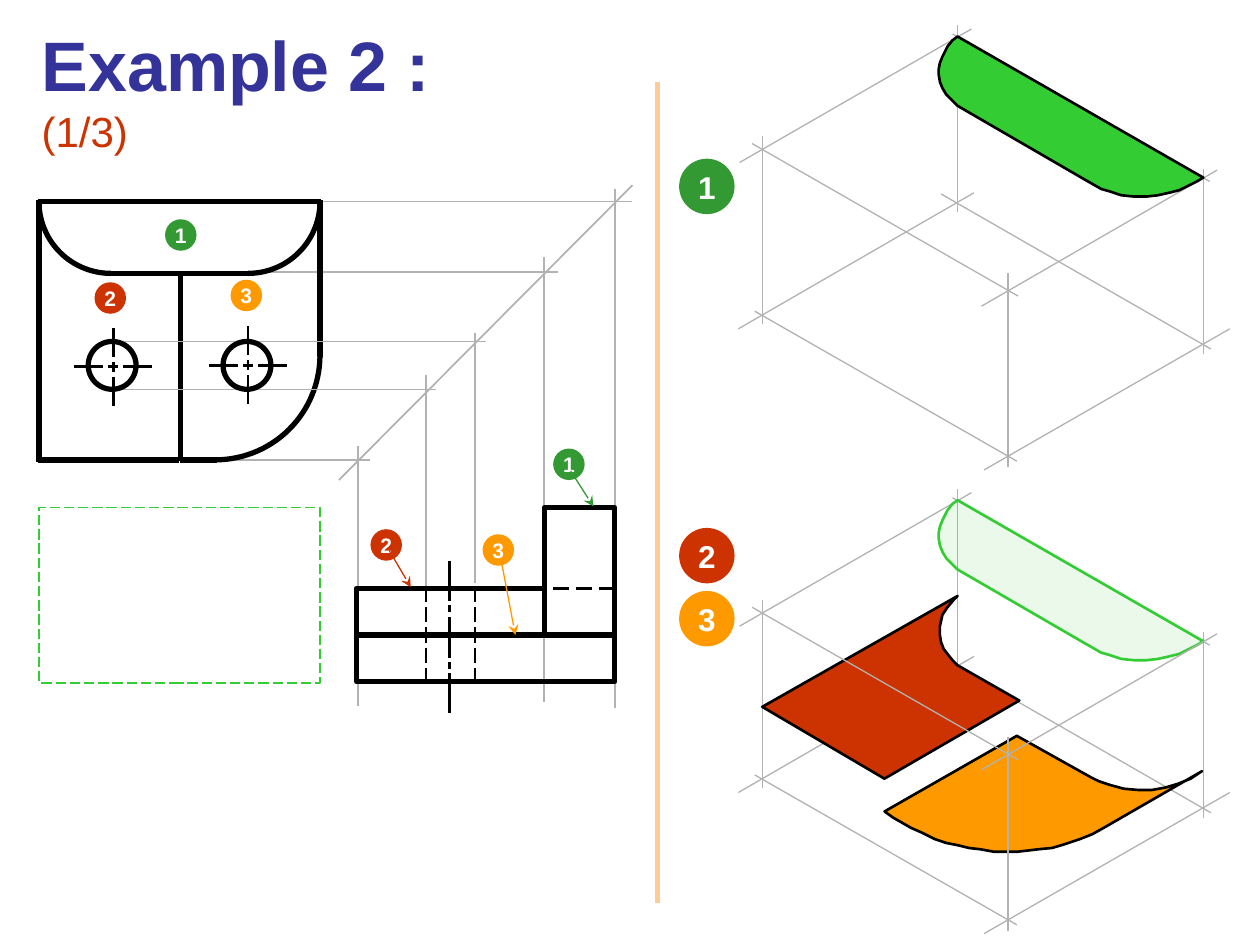
from math import cos, radians, sin

from lxml.etree import SubElement
from pptx import Presentation
from pptx.dml.color import RGBColor
from pptx.enum.dml import MSO_LINE
from pptx.enum.shapes import MSO_CONNECTOR, MSO_SHAPE
from pptx.enum.text import MSO_ANCHOR, PP_ALIGN
from pptx.oxml.ns import qn
from pptx.util import Inches, Pt

BLACK, GREY, WHITE = "000000", "B2B2B2", "FFFFFF"
GREEN, RED, ORANGE, LIME = "339933", "CC3300", "FF9900", "33CC33"
FACE_COLORS = {"1": GREEN, "2": RED, "3": ORANGE}

TITLE = [("Example 2 : ", 40, "333399", True), ("(1/3)", 24, RED, False)]

PROJECTION_LINES = [
    (2.69, 3.81, 5.02, 1.47), (1.81, 3.65, 2.94, 3.65), (2.53, 1.6, 5.02, 1.6),
    (2.84, 3.54, 2.84, 5.6), (4.88, 1.5, 4.88, 5.62), (2.05, 2.16, 4.43, 2.16),
    (4.32, 2.04, 4.32, 5.57),
]
HOLE_PROJECTIONS = [
    (0.89, 2.71, 3.86, 2.71), (0.85, 3.09, 3.46, 3.09),
    (3.38, 4.65, 3.38, 2.98), (3.77, 4.63, 3.77, 2.64),
]
TOP_VIEW_ARCS = [(1.97, 1.6, 0.57, 0), (0.88, 1.6, 0.57, 90), (1.71, 2.82, 0.83, 0)]
TOP_VIEW_LINES = [
    (0.87, 2.17, 1.97, 2.17), (0.3, 1.6, 2.55, 1.6), (2.54, 1.59, 2.54, 2.83),
    (1.72, 3.65, 1.43, 3.65), (0.31, 1.59, 0.31, 3.67), (1.43, 2.17, 1.43, 3.66),
    (1.42, 3.65, 0.3, 3.65),
]
SIDE_VIEW_BOXES = [(2.83, 5.04, 2.05, 0.37), (2.83, 4.67, 1.49, 0.37), (4.32, 4.03, 0.56, 1.01)]
HOLE_EDGES = [3.38, 3.77]
HOLE_AXIS = [(4.45, 4.77), (4.8, 4.86), (4.9, 5.22), (5.25, 5.31), (5.34, 5.66)]
HOLES = [(0.9, 2.91), (1.97, 2.9)]
CENTRE_DASHES = [(-0.31, -0.08), (-0.04, 0.04), (0.08, 0.31)]

SMALL_BADGES = [
    ("2", 0.75, 2.24), ("3", 1.83, 2.22), ("1", 1.31, 1.74),
    ("1", 4.39, 3.56), ("2", 2.94, 4.2), ("3", 3.83, 4.24),
]
LARGE_BADGES = [("1", 5.39, 1.26), ("2", 5.39, 4.19), ("3", 5.39, 4.69)]
POINTERS = [
    ("2", (3.09, 4.37, 3.26, 4.66)), ("1", (4.53, 3.74, 4.71, 4.02)),
    ("3", (3.98, 4.46, 4.09, 5.04)),
]

LOWER_SHIFT = 3.68
BACK_EDGES = [
    (7.6, 0.2, 7.6, 1.68), (7.73, 1.53, 5.86, 2.61), (7.47, 1.54, 9.61, 2.77),
    (9.55, 1.34, 9.55, 2.81), (7.56, 0.27, 9.6, 1.44), (6.05, 1.08, 6.05, 2.57),
    (5.99, 2.47, 8.07, 3.66), (9.76, 2.61, 7.81, 3.73), (7.71, 0.23, 5.87, 1.29),
]
FRONT_EDGES = [(8, 2.17, 8, 3.71), (9.66, 1.35, 7.79, 2.43), (5.97, 1.14, 8.08, 2.35)]
FACE_1 = [
    (7.6, 0.29), (7.56, 0.32), (7.52, 0.37), (7.5, 0.41), (7.48, 0.45), (7.46, 0.5),
    (7.45, 0.55), (7.45, 0.59), (7.46, 0.65), (7.48, 0.7), (7.51, 0.75), (7.55, 0.79),
    (7.6, 0.84), (8.6, 1.42), (8.67, 1.46), (8.74, 1.5), (8.81, 1.52), (8.9, 1.55),
    (9, 1.56), (9.1, 1.56), (9.19, 1.55), (9.28, 1.53), (9.36, 1.51), (9.44, 1.47),
    (9.5, 1.44), (9.55, 1.41),
]
FACE_2 = [
    (7.02, 6.18), (8.09, 5.56), (7.6, 5.28), (7.56, 5.24), (7.52, 5.19), (7.49, 5.15),
    (7.47, 5.1), (7.46, 5.04), (7.46, 4.97), (7.48, 4.88), (7.52, 4.82), (7.57, 4.76),
    (7.6, 4.73), (6.05, 5.61),
]
FACE_3 = [
    (7.02, 6.44), (8.07, 5.84), (8.66, 6.17), (8.72, 6.2), (8.81, 6.23), (8.92, 6.26),
    (9.04, 6.27), (9.14, 6.27), (9.25, 6.25), (9.35, 6.22), (9.45, 6.18), (9.54, 6.12),
    (8.76, 6.57), (8.67, 6.62), (8.57, 6.66), (8.45, 6.7), (8.35, 6.73), (8.24, 6.74),
    (8.16, 6.75), (8.07, 6.76), (8, 6.76), (7.89, 6.76), (7.78, 6.74), (7.69, 6.73),
    (7.61, 6.71), (7.51, 6.69), (7.42, 6.66), (7.32, 6.61), (7.23, 6.57), (7.16, 6.53),
    (7.09, 6.49),
]

deck = Presentation()
deck.slide_width, deck.slide_height = Inches(10), Inches(7.5)
page = deck.slides.add_slide(deck.slide_layouts[5])


def rgb(color):
    return RGBColor.from_string(color)


def style(shape, fill, line, width):
    shape.shadow.inherit = False
    if fill:
        shape.fill.solid()
        shape.fill.fore_color.rgb = rgb(fill)
    else:
        shape.fill.background()
    if line:
        shape.line.color.rgb = rgb(line)
        shape.line.width = Pt(width)
    else:
        shape.line.fill.background()
    return shape


def add_line(ends, color, width, arrow=False):
    line = page.shapes.add_connector(MSO_CONNECTOR.STRAIGHT, *map(Inches, ends))
    line.line.color.rgb = rgb(color)
    line.line.width = Pt(width)
    if arrow:
        SubElement(line.line._get_or_add_ln(), qn("a:tailEnd"), type="stealth")
    SubElement(line._element.spPr, qn("a:effectLst"))


def add_lines(lines, color, width, shift=0):
    for x1, y1, x2, y2 in lines:
        add_line((x1, y1 + shift, x2, y2 + shift), color, width)


def add_box(kind, bounds, fill=None, line=None, width=0):
    return style(page.shapes.add_shape(kind, *map(Inches, bounds)), fill, line, width)


def add_outline(points, fill, line, width, close=True):
    points = [(Inches(x), Inches(y)) for x, y in points]
    builder = page.shapes.build_freeform(*points[0])
    builder.add_line_segments(points[1:], close=close)
    return style(builder.convert_to_shape(), fill, line, width)


def add_arc(x, y, radius, start):
    angles = [radians(start + step * 3) for step in range(31)]
    points = [(x + radius * cos(angle), y + radius * sin(angle)) for angle in angles]
    add_outline(points, None, BLACK, 3, close=False)


def add_badge(label, x, y, size, points):
    badge = add_box(MSO_SHAPE.OVAL, (x, y, size, size), FACE_COLORS[label])
    frame = badge.text_frame
    frame.word_wrap = False
    frame.vertical_anchor = MSO_ANCHOR.MIDDLE
    para = frame.paragraphs[0]
    para.text = label
    para.alignment = PP_ALIGN.CENTER
    font = para.font
    font.name, font.size, font.bold = "Arial", Pt(points), True
    font.color.rgb = rgb(WHITE)


def add_title():
    title = page.shapes.title
    title.left, title.top, title.width, title.height = map(Inches, (0.23, 0.12, 4.12, 0.77))
    frame = title.text_frame
    frame.word_wrap = False
    frame.vertical_anchor = MSO_ANCHOR.TOP
    para = frame.paragraphs[0]
    para.alignment = PP_ALIGN.LEFT
    for text, size, color, bold in TITLE:
        span = para.add_run()
        span.text = text
        span.font.name, span.font.size, span.font.bold = "Arial", Pt(size), bold
        span.font.color.rgb = rgb(color)


add_title()
add_lines(PROJECTION_LINES, GREY, 1)
for arc in TOP_VIEW_ARCS:
    add_arc(*arc)
add_lines(TOP_VIEW_LINES, BLACK, 3)
for bounds in SIDE_VIEW_BOXES:
    add_box(MSO_SHAPE.RECTANGLE, bounds, None, BLACK, 3)

for x in HOLE_EDGES:
    starts = [4.66 + 0.16 * step for step in range(5)]
    add_lines([(x, y, x, y + 0.12) for y in starts], BLACK, 1.5)
add_lines([(3.57, top, 3.57, bottom) for top, bottom in HOLE_AXIS], BLACK, 1.5)
add_lines([(x, 4.67, x + 0.13, 4.67) for x in (4.39, 4.57, 4.75)], BLACK, 1.5)
add_lines(HOLE_PROJECTIONS, GREY, 0.75)
add_line((5.22, 0.65, 5.22, 7.17), "FFCC99", 3)

for x, y in HOLES:
    add_box(MSO_SHAPE.OVAL, (x - 0.2, 2.71, 0.38, 0.38), WHITE, BLACK, 3)
    for near, far in CENTRE_DASHES:
        add_lines([(x + near, y, x + far, y), (x, y + near, x, y + far)], BLACK, 1.5)
front_view = add_box(MSO_SHAPE.RECTANGLE, (0.31, 4.03, 2.23, 1.39), None, LIME, 0.75)
front_view.line.dash_style = MSO_LINE.LONG_DASH

for label, x, y in SMALL_BADGES:
    add_badge(label, x, y, 0.25, 12)
for label, x, y in LARGE_BADGES:
    add_badge(label, x, y, 0.44, 18)
for label, ends in POINTERS:
    add_line(ends, FACE_COLORS[label], 0.75, arrow=True)

add_lines(BACK_EDGES + FRONT_EDGES, GREY, 0.75)
add_outline(FACE_1, LIME, BLACK, 1.5)

add_lines(BACK_EDGES, GREY, 0.75, LOWER_SHIFT)
ghost = add_outline([(x, y + LOWER_SHIFT) for x, y in FACE_1], LIME, LIME, 1.5)
ghost_color = ghost._element.spPr.find(qn("a:solidFill")).find(qn("a:srgbClr"))
SubElement(ghost_color, qn("a:alpha"), val="10000")
add_outline(FACE_2, RED, BLACK, 1.5)
add_outline(FACE_3, ORANGE, BLACK, 1.5)
add_lines(FRONT_EDGES, GREY, 0.75, LOWER_SHIFT)

deck.save("out.pptx")
